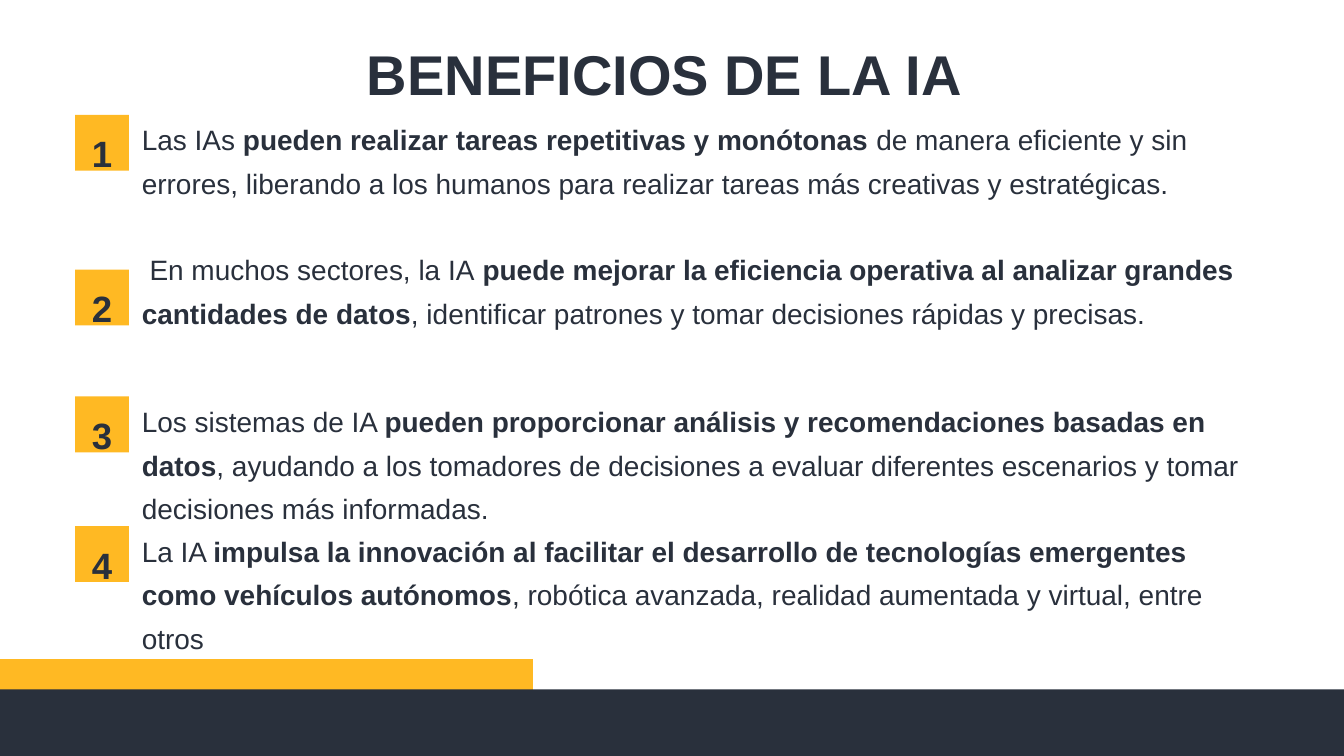
from pptx import Presentation
from pptx.dml.color import RGBColor
from pptx.enum.shapes import MSO_SHAPE
from pptx.enum.text import PP_ALIGN
from pptx.util import Cm, Pt

RECT = MSO_SHAPE.RECTANGLE
LEFT, CENTER = PP_ALIGN.LEFT, PP_ALIGN.CENTER
WIDE, HIGH = 50.8, 28.58
GOLD, DARK = "FFB923", "29303C"

# Badge top, text top, text width, then plain, bold and plain wording
ITEMS = [
    (4.34, 4.27, 40.77, "Las IAs",
     " pueden realizar tareas repetitivas y monótonas",
     " de manera eficiente y sin errores, liberando a los humanos para "
     "realizar tareas más creativas y estratégicas."),
    (10.19, 9.17, 41.78, " En muchos sectores, la IA",
     " puede mejorar la eficiencia operativa al analizar grandes "
     "cantidades de datos",
     ", identificar patrones y tomar decisiones rápidas y precisas."),
    (14.99, 14.91, 41.78, "Los sistemas de IA ",
     "pueden proporcionar análisis y recomendaciones basadas en datos",
     ", ayudando a los tomadores de decisiones a evaluar diferentes "
     "escenarios y tomar decisiones más informadas."),
    (19.89, 19.81, 41.78, "La IA ",
     "impulsa la innovación al facilitar el desarrollo de tecnologías "
     "emergentes como vehículos autónomos",
     ", robótica avanzada, realidad aumentada y virtual, entre otros"),
]


def paint(fmt, code):
    fmt.rgb = RGBColor.from_string(code)


def add_block(slide, x, y, w, h, code):
    block = slide.shapes.add_shape(RECT, Cm(x), Cm(y), Cm(w), Cm(h))
    block.shadow.inherit = False
    block.fill.solid()
    paint(block.fill.fore_color, code)
    block.line.fill.background()


def add_text(slide, x, y, w, h, size, runs, align=LEFT):
    """Place one paragraph made of (wording, bold) runs."""
    frame = slide.shapes.add_textbox(Cm(x), Cm(y), Cm(w), Cm(h)).text_frame
    frame.word_wrap = True
    frame.margin_left = frame.margin_right = 0
    frame.margin_top = frame.margin_bottom = 0
    para = frame.paragraphs[0]
    para.alignment = align
    para.line_spacing = 1.3
    para.font.name = "Arial"
    para.font.size = Pt(size)
    paint(para.font.color, DARK)
    for words, bold in runs:
        run = para.add_run()
        run.text = words
        run.font.bold = bold


def add_badge(slide, x, y, num):
    add_block(slide, x, y, 2.03, 2.11, GOLD)
    add_text(slide, x + 0.41, y + 0.13, 1.22, 1.75, 39.2,
             [(str(num), True)], CENTER)


def add_list(slide, x):
    for num, (top, y, w, start, key, end) in enumerate(ITEMS, 1):
        add_badge(slide, x, top, num)
        add_text(slide, x + 2.52, y, w, 4.09, 30,
                 [(start, False), (key, True), (end, False)])


def add_footer(slide, y):
    add_block(slide, 0, y, 20.14, HIGH - y, GOLD)
    add_block(slide, 0, y + 1.14, WIDE, HIGH - y - 1.14, DARK)


def main():
    deck = Presentation()
    deck.slide_width, deck.slide_height = Cm(WIDE), Cm(HIGH)
    slide = deck.slides.add_slide(deck.slide_layouts[6])
    add_footer(slide, 24.92)
    add_text(slide, 13.87, 0.74, 24, 2.57, 60,
             [("BENEFICIOS DE LA IA", True)])
    add_list(slide, 2.84)
    deck.save("out.pptx")


if __name__ == "__main__":
    main()
